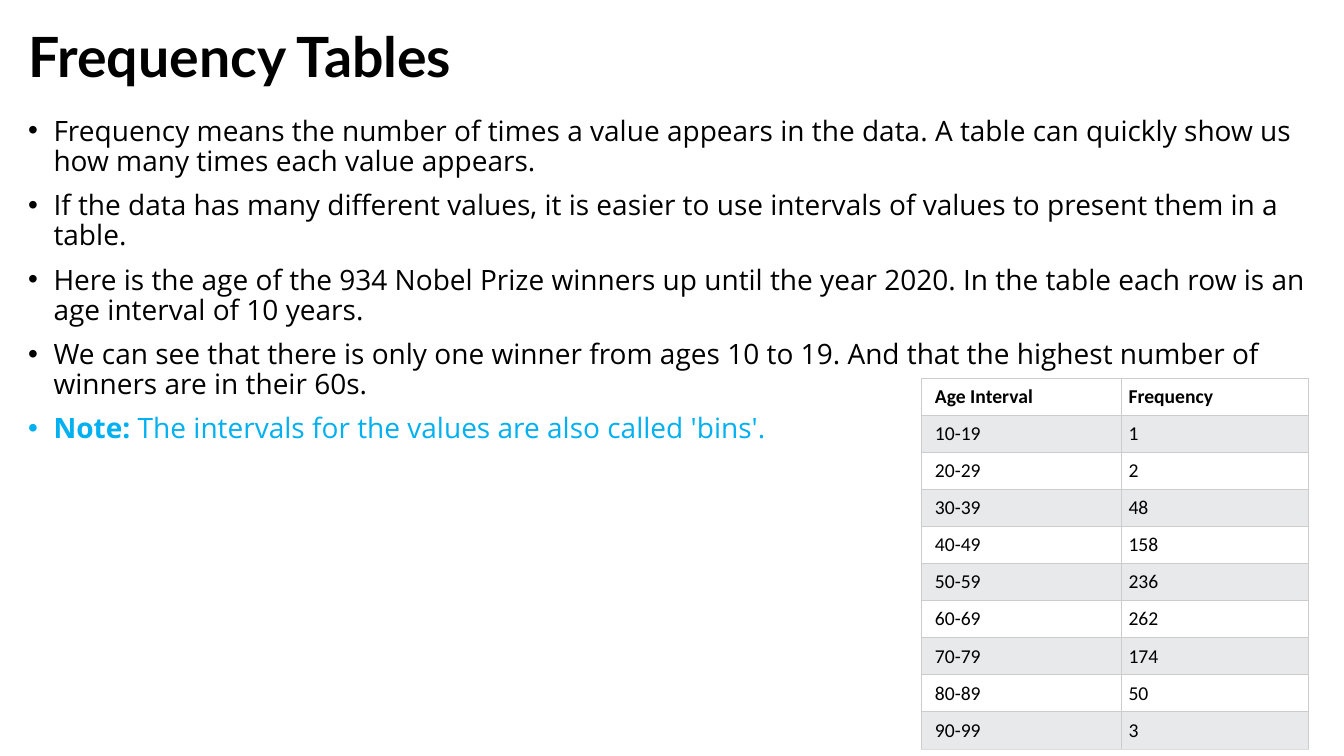
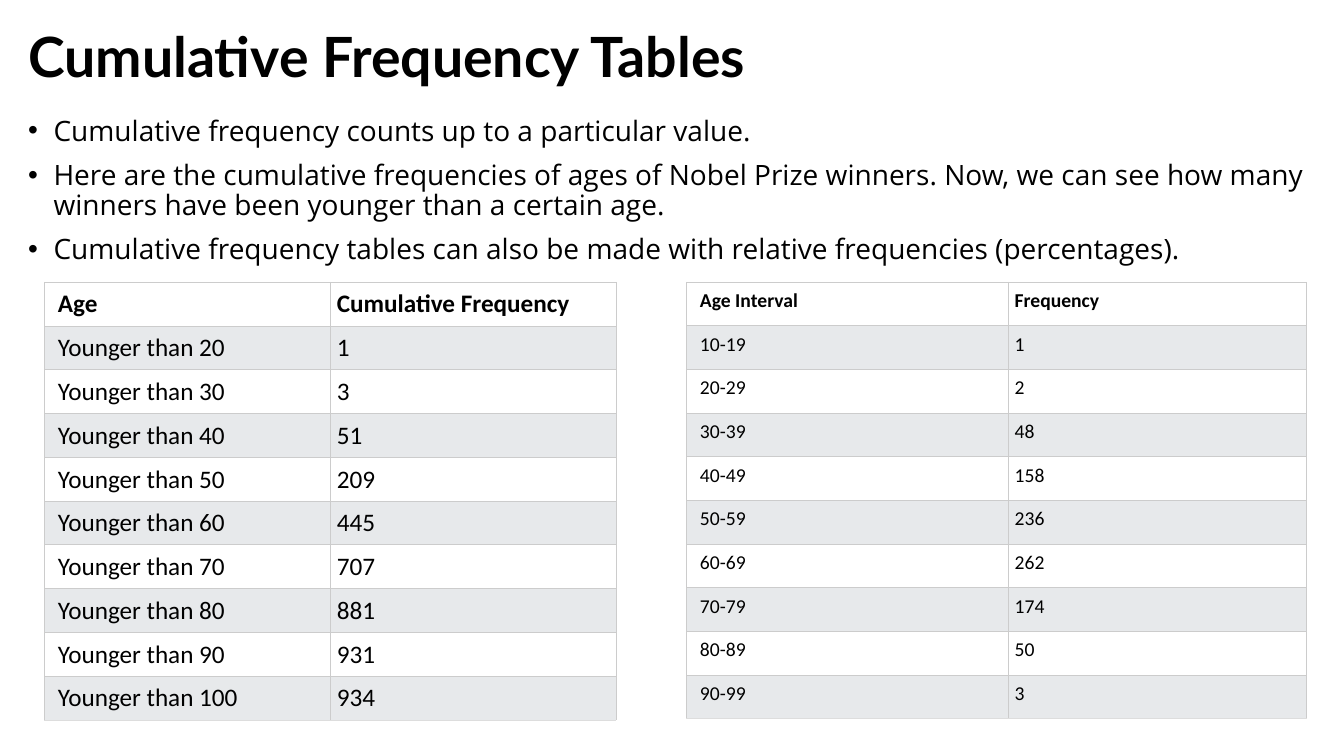
import itertools

import lxml.etree
import pptx
import pptx.dml.color
import pptx.enum.text
import pptx.oxml.ns
import pptx.util

Cm = pptx.util.Cm
Pt = pptx.util.Pt
qn = pptx.oxml.ns.qn

COLORS = {
    "text": "000000",
    "note": "00B0F0",
    "plain_row": "FFFFFF",
    "shaded_row": "E7E9EB",
    "border": "CCCCCC",
    "last_border": "DDDDDD",
}
FONTS = {"title": "Lato", "body": "Open Sans", "table": "Calibri"}
MARGIN_LEFT = 0.46
CONTENT_WIDTH = 32.97

FREQUENCIES = [1, 2, 48, 158, 236, 262, 174, 50, 3]
DECADES = range(10, 100, 10)
AGE_ROWS = [("Age Interval", "Frequency")] + [
    (f"{start}-{start + 9}", count) for start, count in zip(DECADES, FREQUENCIES)
]
CUMULATIVE_ROWS = [("Age", "Cumulative Frequency")] + [
    (f"Younger than {start + 10}", total)
    for start, total in zip(DECADES, itertools.accumulate(FREQUENCIES))
]


def rgb(name):
    return pptx.dml.color.RGBColor.from_string(COLORS[name])


def add_span(para, text, font, size, color="text", bold=False):
    span = para.add_run()
    span.text = text
    span.font.name = FONTS[font]
    span.font.size = Pt(size)
    span.font.bold = bold
    span.font.color.rgb = rgb(color)


def set_bullet(para):
    properties = para._p.get_or_add_pPr()
    properties.set("marL", str(Cm(0.64)))
    properties.set("indent", str(-Cm(0.64)))
    bullet_font = lxml.etree.SubElement(properties, qn("a:buFont"))
    bullet_font.set("typeface", "Arial")
    lxml.etree.SubElement(properties, qn("a:buChar")).set("char", "•")


def set_title(page, text):
    title = page.shapes.title
    title.left, title.top = Cm(MARGIN_LEFT), Cm(0.58)
    title.width, title.height = Cm(CONTENT_WIDTH), Cm(1.85)
    frame = title.text_frame
    frame.auto_size = pptx.enum.text.MSO_AUTO_SIZE.NONE
    frame.vertical_anchor = pptx.enum.text.MSO_ANCHOR.MIDDLE
    para = frame.paragraphs[0]
    para.alignment = pptx.enum.text.PP_ALIGN.LEFT
    para.line_spacing = 0.9
    add_span(para, text, "title", 39.6, bold=True)


def add_bullets(page, texts, note=None):
    box = page.shapes.add_textbox(
        Cm(MARGIN_LEFT), Cm(2.82), Cm(CONTENT_WIDTH), Cm(15.88)
    )
    frame = box.text_frame
    frame.word_wrap = True
    items = [[(text, {})] for text in texts]
    if note:
        label, text = note
        items.append([(label, {"color": "note", "bold": True}), (text, {"color": "note"})])
    for index, spans in enumerate(items):
        para = frame.add_paragraph() if index else frame.paragraphs[0]
        para.line_spacing = 0.9
        para.space_before = Pt(10)
        set_bullet(para)
        for text, style in spans:
            add_span(para, text, "body", 20, **style)


def set_borders(cell, bottom):
    properties = cell._tc.get_or_add_tcPr()
    sides = {"L": "border", "R": "border", "T": "border", "B": bottom}
    for side, color in sides.items():
        line = lxml.etree.SubElement(properties, qn(f"a:ln{side}"))
        line.set("w", str(Pt(0.6)))
        fill = lxml.etree.SubElement(line, qn("a:solidFill"))
        lxml.etree.SubElement(fill, qn("a:srgbClr")).set("val", COLORS[color])


def fill_cell(cell, text, size, left_inset, header, shaded, last):
    cell.margin_left = Cm(left_inset)
    cell.margin_right = cell.margin_top = cell.margin_bottom = Cm(0.17)
    add_span(cell.text_frame.paragraphs[0], str(text), "table", size, bold=header)
    set_borders(cell, "last_border" if last else "border")
    cell.fill.solid()
    cell.fill.fore_color.rgb = rgb("shaded_row" if shaded else "plain_row")


def add_data_table(page, rows, left, top, widths, height, size):
    table = page.shapes.add_table(
        len(rows), len(widths), Cm(left), Cm(top), Cm(sum(widths)), Cm(height)
    ).table
    table.first_row = table.horz_banding = False
    for column, width in zip(table.columns, widths):
        column.width = Cm(width)
    for row_index, values in enumerate(rows):
        for column_index, value in enumerate(values):
            fill_cell(
                table.cell(row_index, column_index),
                value,
                size,
                left_inset=0.17 if column_index else 0.34,
                header=row_index == 0,
                shaded=row_index % 2 == 1,
                last=row_index == len(rows) - 1,
            )


def add_page(deck, title):
    page = deck.slides.add_slide(deck.slide_layouts.get_by_name("Title Only"))
    set_title(page, title)
    return page


def add_frequency_page(deck):
    page = add_page(deck, "Frequency Tables")
    add_bullets(
        page,
        [
            "Frequency means the number of times a value appears in the data. "
            "A table can quickly show us how many times each value appears.",
            "If the data has many different values, it is easier to use "
            "intervals of values to present them in a table.",
            "Here is the age of the 934 Nobel Prize winners up until the year "
            "2020. In the table each row is an age interval of 10 years.",
            "We can see that there is only one winner from ages 10 to 19. "
            "And that the highest number of winners are in their 60s.",
        ],
        note=("Note:", "\u00a0The intervals for the values are also called 'bins'."),
    )
    add_data_table(page, AGE_ROWS, 23.22, 9.53, [5.05, 4.7], 9.32, size=14)


def add_cumulative_page(deck):
    page = add_page(deck, "Cumulative Frequency Tables")
    add_bullets(
        page,
        [
            "Cumulative frequency counts up to a particular value.",
            "Here are the cumulative frequencies of ages of Nobel Prize winners. "
            "Now, we can see how many winners have been younger than a certain age.",
            "Cumulative frequency tables can also be made with relative "
            "frequencies (percentages).",
        ],
    )
    add_data_table(page, CUMULATIVE_ROWS, 1.12, 7.11, [7.2, 7.2], 11, size=18)
    add_data_table(page, AGE_ROWS, 17.3, 7.11, [8.1, 7.53], 11, size=14)


def main():
    deck = pptx.Presentation()
    deck.slide_width, deck.slide_height = Cm(33.87), Cm(19.05)
    add_frequency_page(deck)
    add_cumulative_page(deck)
    deck.save("out.pptx")


main()
